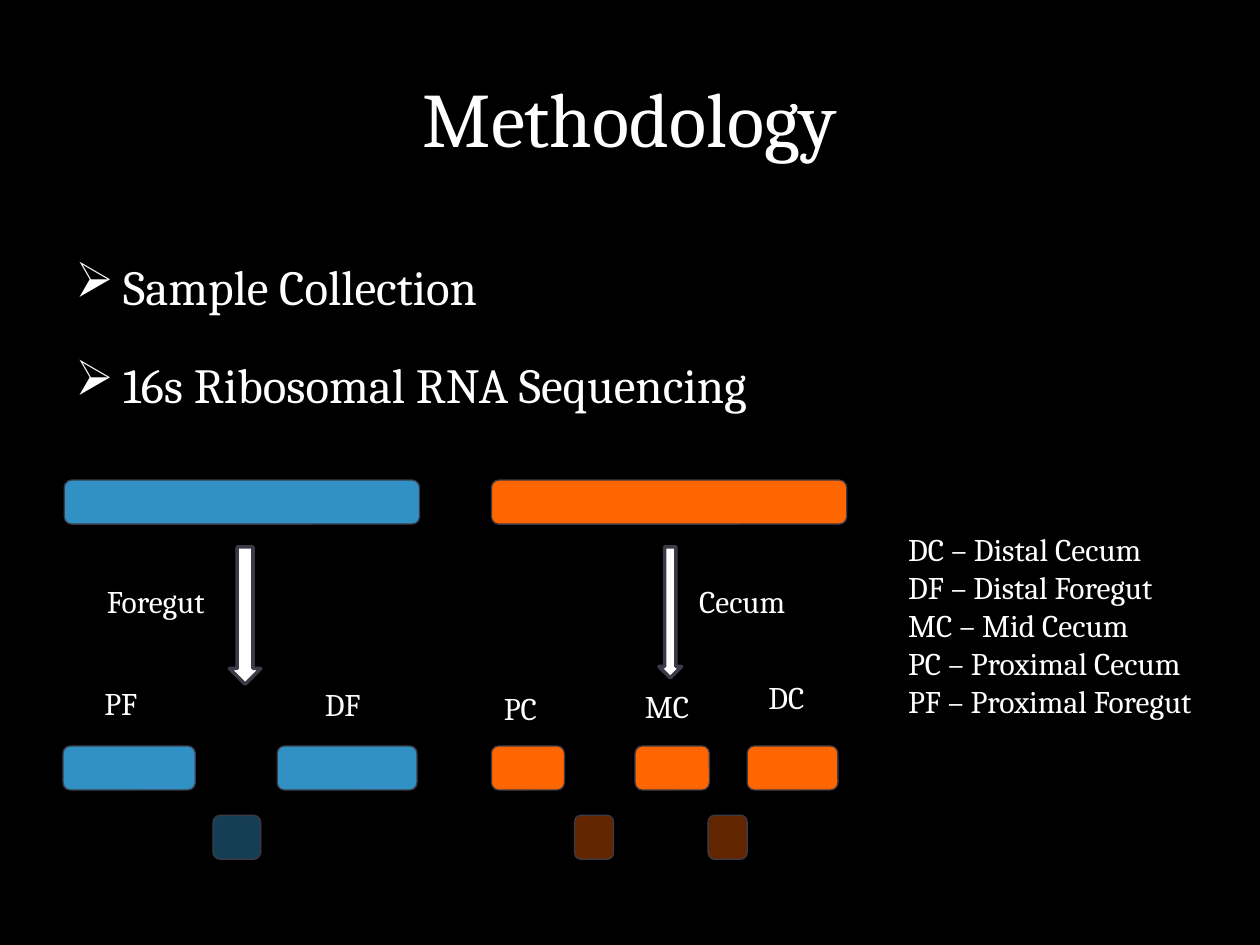
from dataclasses import dataclass

from lxml.etree import SubElement
from pptx import Presentation
from pptx.dml.color import RGBColor
from pptx.enum.shapes import MSO_SHAPE
from pptx.enum.text import MSO_ANCHOR, MSO_AUTO_SIZE, PP_ALIGN
from pptx.oxml.ns import qn
from pptx.util import Inches, Pt


@dataclass(frozen=True)
class Theme:
    font: str = "Cambria"
    background: RGBColor = RGBColor(0x00, 0x00, 0x00)
    text: RGBColor = RGBColor(0xFF, 0xFF, 0xFF)
    outline: RGBColor = RGBColor(0x3D, 0x3A, 0x48)
    foregut: RGBColor = RGBColor(0x32, 0x91, 0xC4)
    cecum: RGBColor = RGBColor(0xFF, 0x66, 0x00)
    title_size: int = 44
    bullet_size: int = 28
    label_size: int = 18


THEME = Theme()
BAR_HEIGHT = 0.35
WHOLE_TOP, SECTION_TOP, CUT_TOP = 3.81, 5.92, 6.47


def style_font(paragraph, size):
    paragraph.font.name = THEME.font
    paragraph.font.size = Pt(size)
    paragraph.font.color.rgb = THEME.text


def add_text_frame(slide, left, top, width, height):
    box = slide.shapes.add_textbox(Inches(left), Inches(top), Inches(width), Inches(height))
    box.text_frame.word_wrap = True
    return box.text_frame


def add_title(slide, text):
    frame = add_text_frame(slide, 0.5, 0.3, 9, 1.25)
    frame.vertical_anchor = MSO_ANCHOR.MIDDLE
    paragraph = frame.paragraphs[0]
    paragraph.text = text
    paragraph.alignment = PP_ALIGN.CENTER
    style_font(paragraph, THEME.title_size)


def add_bullets(slide, items):
    frame = add_text_frame(slide, 0.5, 1.75, 9, 2.12)
    for index, item in enumerate(items):
        paragraph = frame.add_paragraph() if index else frame.paragraphs[0]
        paragraph.text = item
        paragraph.line_spacing = 1.5
        if index:
            paragraph.space_before = Pt(0.2 * THEME.bullet_size)
        properties = paragraph._p.get_or_add_pPr()
        properties.set("marL", str(Inches(0.38)))
        properties.set("indent", str(Inches(-0.38)))
        SubElement(properties, qn("a:buChar"), char="➢")
        style_font(paragraph, THEME.bullet_size)


def add_label(slide, left, top, width, height, *lines):
    frame = add_text_frame(slide, left, top, width, height)
    frame.word_wrap = False
    frame.auto_size = MSO_AUTO_SIZE.SHAPE_TO_FIT_TEXT
    for index, line in enumerate(lines):
        paragraph = frame.add_paragraph() if index else frame.paragraphs[0]
        paragraph.text = line
        style_font(paragraph, THEME.label_size)


def add_outlined_shape(slide, kind, left, top, width, height, color, line_width):
    shape = slide.shapes.add_shape(
        kind, Inches(left), Inches(top), Inches(width), Inches(height))
    shape.shadow.inherit = False
    shape.fill.solid()
    shape.fill.fore_color.rgb = color
    shape.line.color.rgb = THEME.outline
    shape.line.width = Pt(line_width)
    return shape


def add_bar(slide, left, top, width, color, opacity=100):
    """Add one gut segment; opacity is a percentage."""
    bar = add_outlined_shape(
        slide, MSO_SHAPE.ROUNDED_RECTANGLE, left, top, width, BAR_HEIGHT, color, 0.75)
    if opacity < 100:
        color_element = bar.fill._xPr.find(qn("a:solidFill"))[0]
        SubElement(color_element, qn("a:alpha"), val=str(opacity * 1000))


def add_down_arrow(slide, left, top, length, thickness):
    """Add a right arrow turned to point down; the box is given before turning."""
    arrow = add_outlined_shape(
        slide, MSO_SHAPE.RIGHT_ARROW, left, top, length, thickness, THEME.text, 2)
    arrow.rotation = 90


def add_gut_part(slide, color, whole_left, sections, cuts, opacity):
    """Add a whole segment, the sections it is split into and the cuts between them."""
    add_bar(slide, whole_left, WHOLE_TOP, 2.82, color)
    for left, width in sections:
        add_bar(slide, left, SECTION_TOP, width, color)
    for left, width in cuts:
        add_bar(slide, left, CUT_TOP, width, color, opacity)


def main():
    presentation = Presentation()
    presentation.slide_width = Inches(10)
    presentation.slide_height = Inches(7.5)
    slide = presentation.slides.add_slide(presentation.slide_layouts[6])
    slide.background.fill.solid()
    slide.background.fill.fore_color.rgb = THEME.background

    add_title(slide, "Methodology")
    add_bullets(slide, ["Sample Collection", "16s Ribosomal RNA Sequencing"])
    add_label(slide, 7.11, 4.16, 2.71, 1.62,
              "DC – Distal Cecum", "DF – Distal Foregut", "MC – Mid Cecum",
              "PC – Proximal Cecum", "PF – Proximal Foregut")

    add_gut_part(slide, THEME.foregut, 0.51, [(0.5, 1.05), (2.2, 1.11)], [(1.69, 0.38)], 43)
    add_down_arrow(slide, 1.4, 4.76, 1.09, 0.25)
    add_gut_part(slide, THEME.cecum, 3.9, [(3.9, 0.58), (5.04, 0.59), (5.93, 0.72)],
                 [(4.56, 0.31), (5.62, 0.31)], 38)
    add_down_arrow(slide, 4.8, 4.77, 1.04, 0.18)

    for text, left, top, width in [
        ("Foregut", 0.75, 4.57, 1.08),
        ("Cecum", 5.45, 4.57, 0.97),
        ("PF", 0.73, 5.38, 0.51),
        ("DF", 2.48, 5.39, 0.54),
        ("PC", 3.9, 5.42, 0.52),
        ("MC", 5.02, 5.4, 0.6),
        ("DC", 6, 5.33, 0.55),
    ]:
        add_label(slide, left, top, width, 0.4, text)

    presentation.save("out.pptx")


if __name__ == "__main__":
    main()
